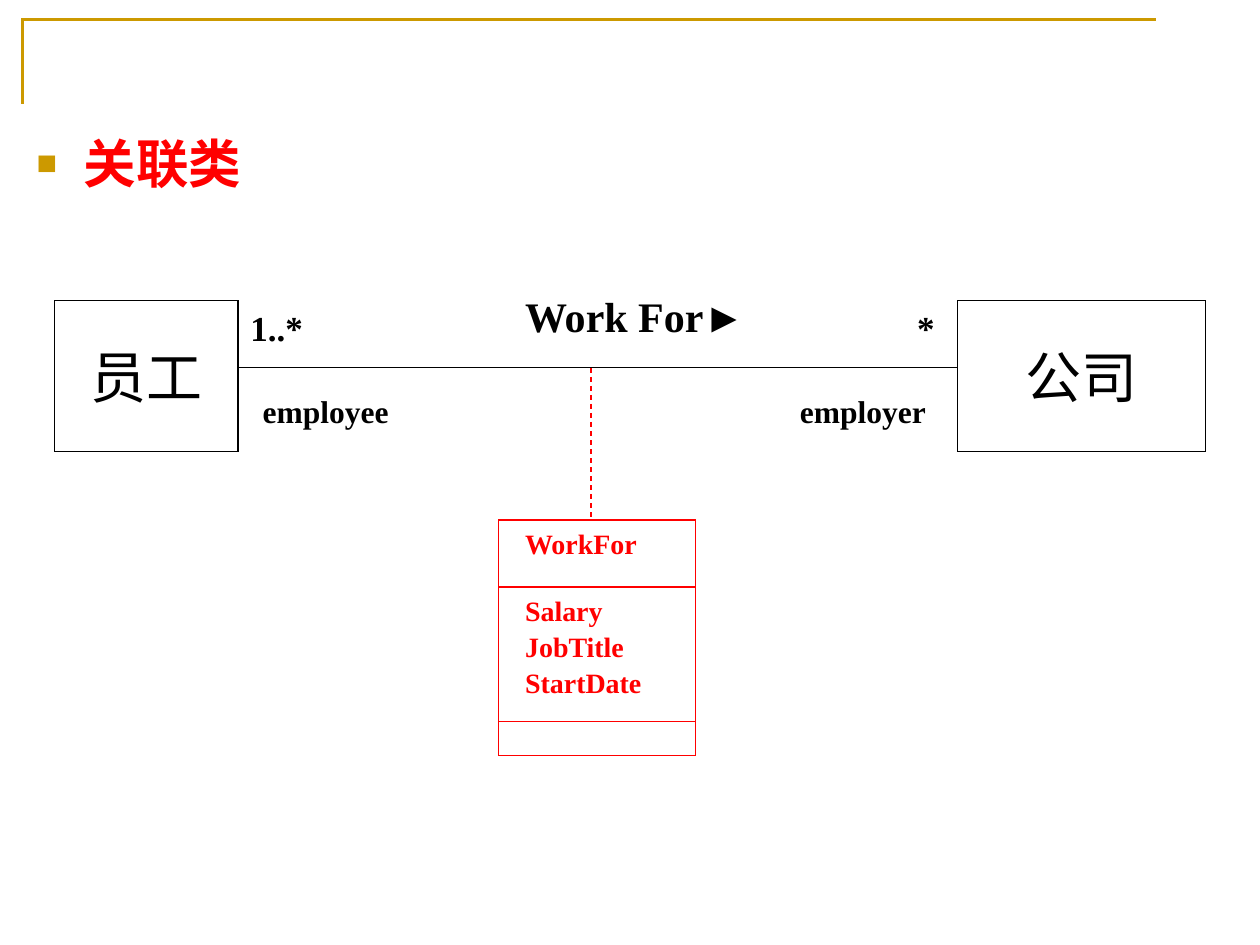
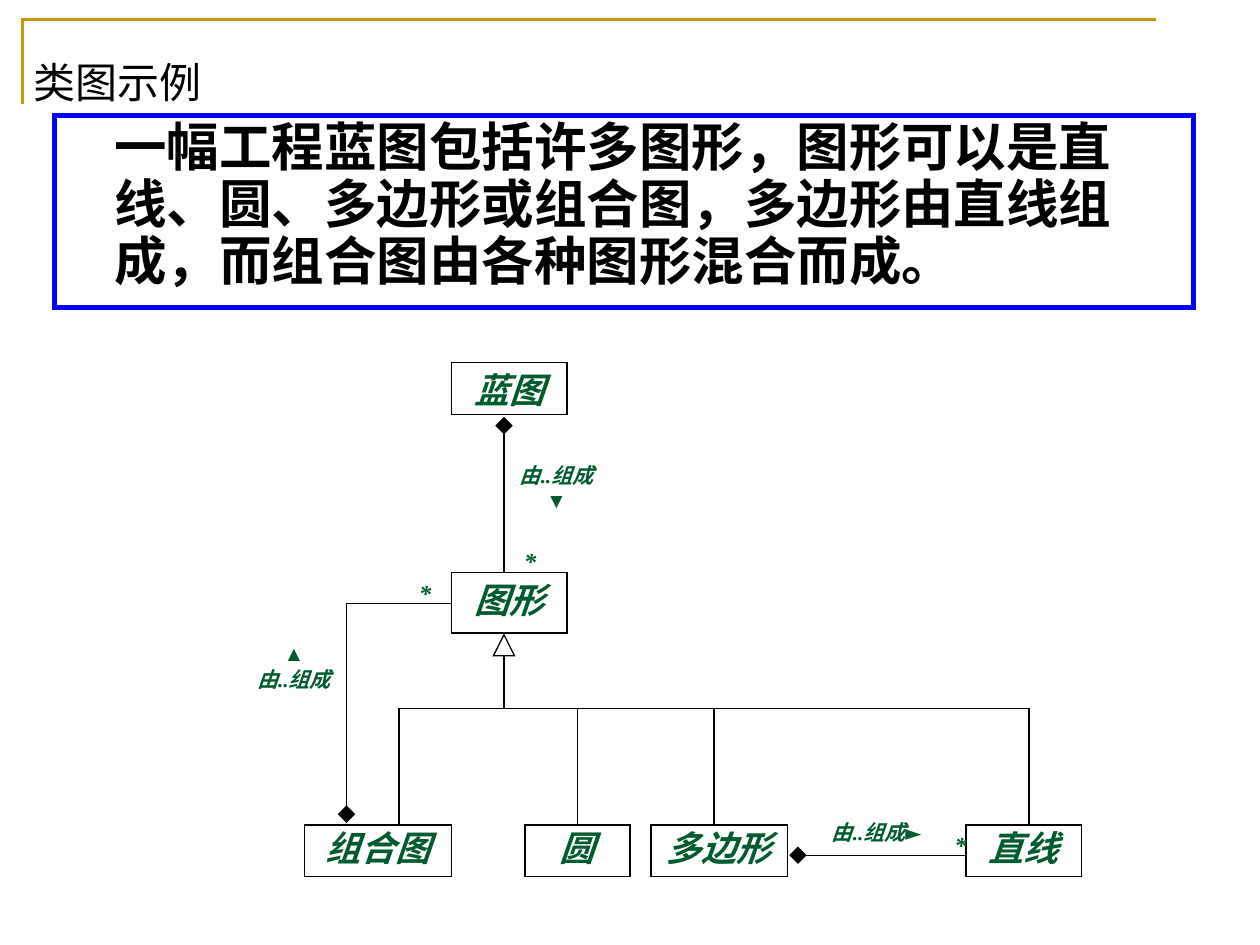
from lxml.etree import SubElement
from pptx import Presentation
from pptx.dml.color import RGBColor
from pptx.enum.dml import MSO_LINE
from pptx.enum.shapes import MSO_CONNECTOR, MSO_SHAPE
from pptx.enum.text import MSO_ANCHOR, PP_ALIGN
from pptx.oxml.ns import qn
from pptx.util import Pt

GOLD, RED, BLACK = "CC9900", "FF0000", "000000"
BLUE, GREEN = "0000FF", "005C2E"
SERIF, SANS = "Times New Roman", "Arial"


def hue(code):
    return RGBColor.from_string(code)


def points(*values):
    return [Pt(value) for value in values]


def stroke(line, color, width, dash=False):
    line.color.rgb = hue(color)
    line.width = Pt(width)
    if dash:
        line.dash_style = MSO_LINE.DASH
    SubElement(line._get_or_add_ln(), qn("a:miter"), lim="800000")


def outline(slide, box, color=BLACK, width=0.75, kind=MSO_SHAPE.RECTANGLE):
    shape = slide.shapes.add_shape(kind, *points(*box))
    shape.shadow.inherit = False
    shape.fill.background()
    stroke(shape.line, color, width)
    return shape


def link(slide, start, end, color=BLACK, width=0.75, dash=False, diamond=False):
    line = slide.shapes.add_connector(MSO_CONNECTOR.STRAIGHT, *points(*start, *end))
    stroke(line.line, color, width, dash)
    if diamond:
        SubElement(line.line._get_or_add_ln(), qn("a:headEnd"),
                   type="diamond", w="lg", len="lg")
    SubElement(line._element.spPr, qn("a:effectLst"))


def write(shape, text, size, color=BLACK, font=SERIF, bold=False, italic=False,
          align=PP_ALIGN.LEFT, anchor=MSO_ANCHOR.TOP, top=3.6, wrap=True):
    frame = shape.text_frame
    frame.text = text
    frame.word_wrap = wrap
    frame.vertical_anchor = anchor
    frame.margin_top = Pt(top)
    for para in frame.paragraphs:
        para.alignment = align
        for run in para.runs:
            face = run.font
            face.name, face.size = font, Pt(size)
            face.bold, face.italic = bold, italic
            face.color.rgb = hue(color)
    return frame


def label(slide, box, text, size, **style):
    return write(slide.shapes.add_textbox(*points(*box)), text, size, **style)


def corner(slide, box):
    left, top, width, height = box
    pen = slide.shapes.build_freeform(*points(left, top + height))
    pen.add_line_segments([points(left, top), points(left + width, top)], close=False)
    shape = pen.convert_to_shape()
    shape.shadow.inherit = False
    shape.fill.background()
    stroke(shape.line, GOLD, 2)


def start(deck):
    slide = deck.slides.add_slide(deck.slide_layouts[6])
    corner(slide, (12.8, 11.2, 648, 48))
    return slide


def title(slide, box, text):
    frame = label(slide, box, text, 30, anchor=MSO_ANCHOR.BOTTOM)
    frame.paragraphs[0].runs[0]._r.get_or_add_rPr().set("cap", "small")


def topic(slide, box, text):
    frame = label(slide, box, text, 30, color=RED, font=SANS, bold=True)
    props = frame.paragraphs[0]._p.get_or_add_pPr()
    props.set("marL", str(Pt(27)))
    props.set("indent", str(Pt(-27)))
    tint = SubElement(props, qn("a:buClr"))
    SubElement(tint, qn("a:srgbClr"), val=GOLD)
    SubElement(props, qn("a:buSzPct"), val="65000")
    SubElement(props, qn("a:buFont"), typeface=SANS)
    SubElement(props, qn("a:buChar"), char="■")


def summary(slide, box, text):
    frame = write(outline(slide, box, BLUE, 3), text, 30, font=SANS, bold=True)
    frame.margin_right = Pt(40)
    para = frame.paragraphs[0]
    para.line_spacing = 0.9
    para._p.get_or_add_pPr().set("marL", str(Pt(27)))


def record(slide, box):
    left, top, width, height = box
    outline(slide, box, RED)
    for drop in (38.2, 115.2):
        link(slide, (left, top + drop), (left + width, top + drop), RED)
    style = dict(color=RED, bold=True)
    label(slide, (left + 8, top, 97, 27), "WorkFor", 16, **style)
    fields = label(slide, (left + 8, top + 38.2, 97, 68),
                   "Salary\nJobTitle\nStartDate", 16, **style)
    for para in fields.paragraphs:
        para.space_before = Pt(1.6)


def relation(slide, box):
    left, top, width, height = box
    axis, middle = top + 38.4, left + 306.7
    near, far = left + 105, left + width - 142
    for name, x, wide in (("员工", left, 105), ("公司", far, 142)):
        write(outline(slide, (x, top, wide, 86.4)), name, 32,
              align=PP_ALIGN.CENTER, anchor=MSO_ANCHOR.MIDDLE, wrap=False)
    link(slide, (near, axis), (far, axis))
    for text, x, y, wide, size in (
            ("Work For►", left + 262, top - 9.5, 150, 24),
            ("*", far - 30, top, 45, 20),
            ("1..*", near, top, 75, 20),
            ("employee", near + 7, axis + 10, 90, 18),
            ("employer", far - 97, axis + 10, 90, 18)):
        label(slide, (x, y, wide, size * 1.5), text, size, bold=True)
    body = top + 125.4
    link(slide, (middle, axis), (middle, body), RED, dash=True)
    record(slide, (left + 254, body, 112.4, top + height - body))


def tree(slide, box):
    left, top, width, height = box
    style = dict(color=GREEN, bold=True, italic=True, align=PP_ALIGN.CENTER)

    def spot(x, y):
        return left + x, top + y

    def node(text, x, y, wide, high, inset=1):
        write(outline(slide, (*spot(x, y), wide, high)), text, 20, top=inset, **style)

    def note(text, x, y, wide=30, high=24, size=14):
        label(slide, (*spot(x, y), wide, high), text, size, **style)

    def join(begin, end, **look):
        link(slide, spot(*begin), spot(*end), **look)

    stem, bar, leaf = 150, 197.5, height - 29.5
    node("蓝图", 120, 0, 66, 29.5, 3.6)
    node("图形", 120, 119.8, 66, 34.8, 3.6)
    outline(slide, (*spot(stem - 6, 155.5), 12, 12), kind=MSO_SHAPE.ISOSCELES_TRIANGLE)
    join((stem, 167.5), (stem, bar))
    join((90, bar), (450, bar))
    for text, x, wide, drop in (("组合图", 36, 84, 90), ("圆", 162, 60, 192),
                                ("多边形", 234, 78, 270), ("直线", 414, 66, 450)):
        node(text, x, leaf, wide, 29.5)
        join((drop, bar), (drop, leaf))

    join((stem, 36), (stem, 119.8), width=1, diamond=True)
    note("由..组成\n▼", stem, 53.4, 60, 36, 12)
    note("*", stem, 101.5)
    join((60, 258), (60, 137.5), diamond=True)
    join((60, 137.5), (120, 137.5))
    note("▲\n由..组成", 0, 155.5, 60, 36, 12)
    note("*", 90, 119.5)
    join((318, 281.5), (414, 281.5), diamond=True)
    note("由..组成►", 324, 257.5, 78, 22, 12)
    note("*", 396, 263.5)


def main():
    deck = Presentation()
    deck.slide_width, deck.slide_height = points(720, 540)

    slide = start(deck)
    topic(slide, (13.8, 71.5, 686, 454), "关联类")
    relation(slide, (31, 171.8, 658, 260))

    slide = start(deck)
    title(slide, (12, 12, 696, 54), "类图示例")
    summary(slide, (31.2, 65.8, 651, 110),
            "一幅工程蓝图包括许多图形，图形可以是直线、圆、多边形或组合图，"
            "多边形由直线组成，而组合图由各种图形混合而成。")
    tree(slide, (138, 207.2, 480, 293.8))

    deck.save("out.pptx")


if __name__ == "__main__":
    main()
